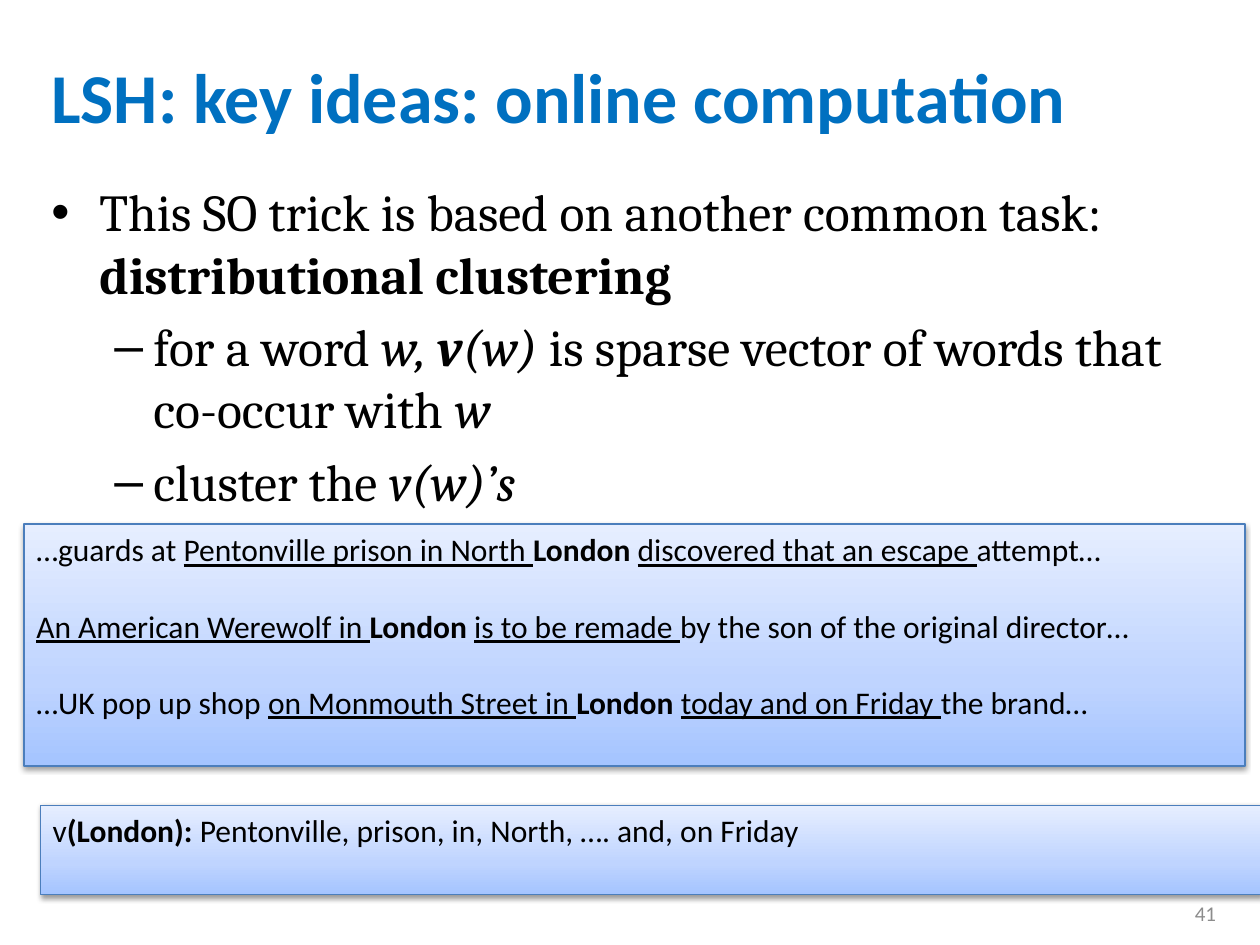
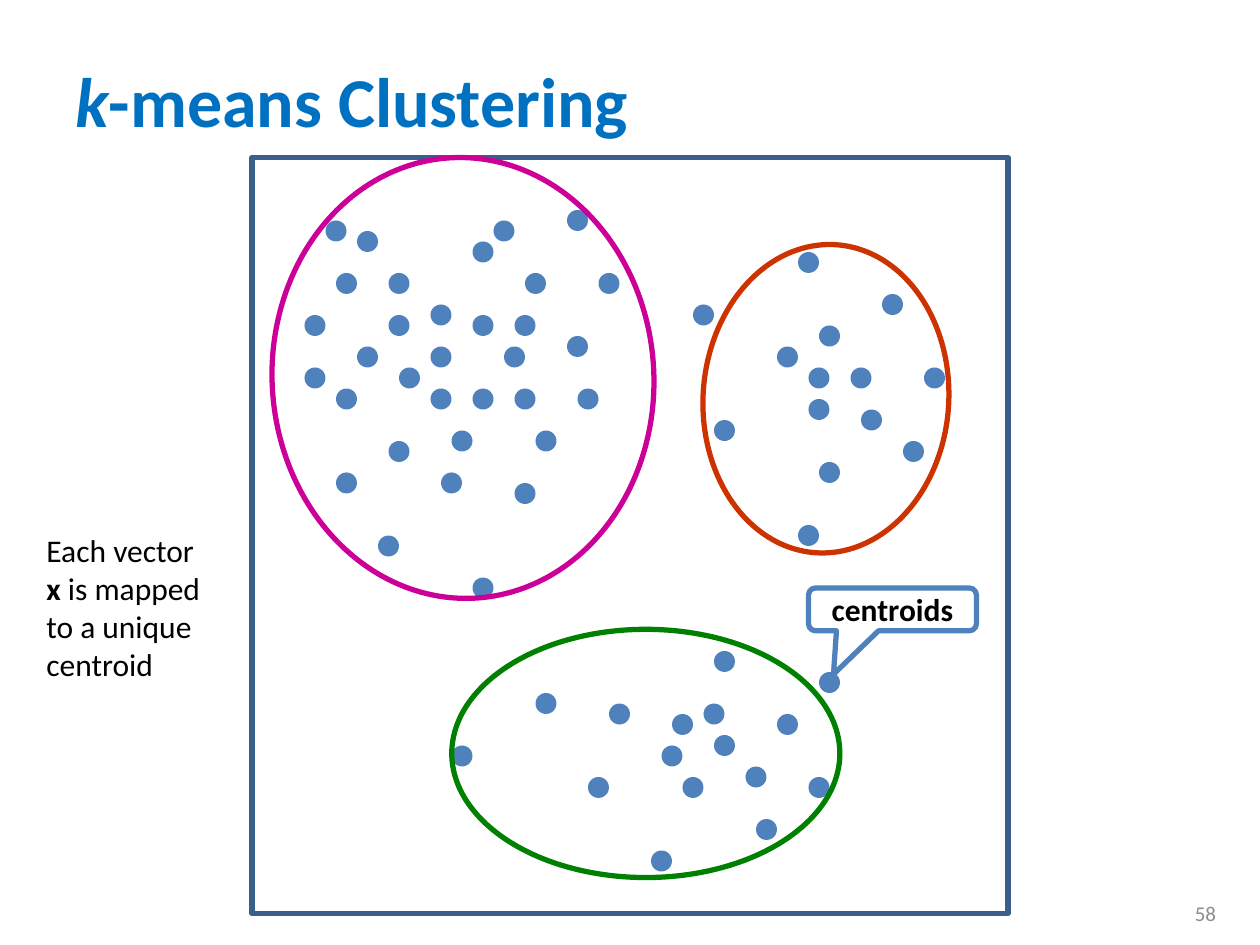
import lxml.etree
import pptx
import pptx.dml.color
import pptx.enum.shapes
import pptx.enum.text
import pptx.oxml.ns
import pptx.util

Pt = pptx.util.Pt
Shape = pptx.enum.shapes.MSO_SHAPE
Align = pptx.enum.text.PP_ALIGN
Anchor = pptx.enum.text.MSO_ANCHOR
qn = pptx.oxml.ns.qn

CELL = pptx.util.Inches(1) // 12
COLS, ROWS = 120, 90
DOT = 2
HUES = {
    "title": "0070C0", "ink": "000000", "page": "8C8C8C",
    "edge": "4B7EBC", "frame": "3A5F8C", "dot": "4F81BD",
    "left": "CC0099", "right": "CC3300", "low": "008000",
}
STOPS = [(0, "A4C4FF"), (35, "BFD4FF"), (100, "E6EEFF")]
LEVELS = [("•", 0.38, -0.38), ("–", 0.81, -0.31)]

BODY = [
    (0, [("This SO trick is based on another common task: ", ""),
         ("distributional clustering", "b")]),
    (1, [("for a word ", ""), ("w, ", "i"), ("v", "bi"), ("(w) ", "i"),
         ("is sparse vector of words that co-occur with ", ""), ("w", "i")]),
    (1, [("cluster the ", ""), ("v(w)’s", "i")]),
]
QUOTES = [
    [("…guards at ", ""), ("Pentonville prison in North ", "u"), ("London ", "b"),
     ("discovered that an escape ", "u"), ("attempt…", "")],
    [("An American Werewolf in ", "u"), ("London ", "b"),
     ("is to be remade ", "u"), ("by the son of the original director…", "")],
    [("…UK pop up shop ", ""), ("on Monmouth Street in ", "u"), ("London ", "b"),
     ("today and on Friday ", "u"), ("the brand…", "")],
]
VECTOR = [[("v", ""), ("(London): ", "b"),
           ("Pentonville, prison, in, North, …. and, on Friday", "")]]
NOTE = [[("Each vector ", ""), ("x ", "b"), ("is mapped to a unique centroid", "")]]

DOTS = [
    (7, 6), (21, 8), (10, 7), (23, 6), (30, 5), (5, 15), (17, 14), (21, 15),
    (13, 11), (26, 11), (33, 11), (8, 11), (24, 18), (17, 18), (13, 15),
    (25, 15), (30, 17), (5, 20), (21, 40), (14, 20), (10, 18), (25, 22),
    (31, 22), (8, 22), (21, 22), (17, 22), (27, 26), (8, 30), (19, 26),
    (18, 30), (13, 27), (25, 31), (12, 36),
    (58, 24), (50, 18), (53, 23), (52, 9), (54, 16), (44, 25), (64, 20),
    (52, 35), (60, 13), (53, 20), (54, 29), (57, 20), (62, 27), (42, 14),
    (19, 56), (39, 56), (27, 51), (53, 59), (34, 52), (44, 47), (43, 52),
    (38, 66), (44, 55), (48, 63), (32, 59), (41, 59), (47, 58), (50, 53),
    (40, 53), (54, 49),
]
RINGS = [
    ("left", (1.92, 0, 36.36, 42), 356.8),
    ("right", (42.96, 8.28, 23.4, 29.4), 3.7),
    ("low", (25.68, 38.28, 23.64, 36.96), 90),
]


def shade(name):
    return pptx.dml.color.RGBColor.from_string(HUES[name])


def scale(box):
    return [round(side * CELL) for side in box]


def inset(box, part):
    return (box[0] + part[0], box[1] + part[1], *part[2:])


def add_runs(para, runs, size, hue="ink", face="Calibri"):
    for text, marks in runs:
        run = para.add_run()
        run.text = text
        font = run.font
        font.name, font.size = face, Pt(size)
        font.bold, font.italic, font.underline = (m in marks for m in "biu")
        font.color.rgb = shade(hue)


def write(frame, lines, size, hue="ink", face="Calibri", align=Align.LEFT,
          anchor=Anchor.TOP, gap=0):
    frame.word_wrap = True
    frame.vertical_anchor = anchor
    for index, runs in enumerate(lines):
        para = frame.add_paragraph() if index else frame.paragraphs[0]
        para.alignment = align
        para.space_before = Pt(gap if index else 0)
        add_runs(para, runs, size, hue, face)


def add_text(slide, box, lines, size, **style):
    frame = slide.shapes.add_textbox(*scale(box)).text_frame
    write(frame, lines, size, **style)
    return frame


def add_shape(slide, kind, box, fill=None, line=None, width=3):
    shape = slide.shapes.add_shape(kind, *scale(box))
    shape.shadow.inherit = False
    if fill:
        shape.fill.solid()
        shape.fill.fore_color.rgb = shade(fill)
    else:
        shape.fill.background()
    if line:
        shape.line.color.rgb = shade(line)
        shape.line.width = Pt(width)
    else:
        shape.line.fill.background()
    return shape


def add_node(parent, tag, **attrs):
    return lxml.etree.SubElement(
        parent, qn(tag), {key: str(val) for key, val in attrs.items()})


def add_base(deck, title, box, page):
    slide = deck.slides.add_slide(deck.slide_layouts[6])
    add_text(slide, box, [title], 40, hue="title", anchor=Anchor.MIDDLE)
    add_text(slide, (89, 84.6, 28, 4.8), [[(page, "")]], 12, hue="page",
             align=Align.RIGHT, anchor=Anchor.MIDDLE)
    return slide


def add_list(slide, box, items, size):
    frame = add_text(slide, box, [runs for _, runs in items], size,
                     face="Cambria", gap=size / 5)
    for para, (level, _) in zip(frame.paragraphs, items):
        mark, left, hang = LEVELS[level]
        para.level = level
        props = para._p.get_or_add_pPr()
        props.set("marL", str(pptx.util.Inches(left)))
        props.set("indent", str(pptx.util.Inches(hang)))
        add_node(props, "a:buFont", typeface="Arial")
        add_node(props, "a:buChar", char=mark)


def add_panel(slide, box, lines):
    panel = add_shape(slide, Shape.RECTANGLE, box, line="edge", width=0.75)
    panel.fill.gradient()
    panel.fill.gradient_angle = 90
    stops = panel._element.spPr.find(qn("a:gradFill")).find(qn("a:gsLst"))
    for stop in list(stops):
        stops.remove(stop)
    for place, hue in STOPS:
        stop = add_node(stops, "a:gs", pos=place * 1000)
        add_node(stop, "a:srgbClr", val=hue)
    glow = add_node(panel._element.spPr.find(qn("a:effectLst")), "a:outerShdw",
                    blurRad=Pt(3.1), dist=Pt(1.6), dir=5400000, rotWithShape=0)
    tint = add_node(glow, "a:srgbClr", val=HUES["ink"])
    add_node(tint, "a:alpha", val=38000)
    write(panel.text_frame, lines, 18, gap=22)


def add_label(slide, box):
    label = add_shape(slide, Shape.ROUNDED_RECTANGULAR_CALLOUT, box, line="dot")
    for index, value in enumerate((-0.351, 1.514, 0.167)):
        label.adjustments[index] = value
    frame = label.text_frame
    frame.margin_left = frame.margin_right = 0
    frame.margin_top = frame.margin_bottom = 0
    write(frame, [[("centroids", "b")]], 18, align=Align.CENTER,
          anchor=Anchor.MIDDLE)


def add_plot(slide, box):
    add_shape(slide, Shape.RECTANGLE, box, line="frame")
    for col, row in DOTS:
        add_shape(slide, Shape.OVAL, inset(box, (col, row, DOT, DOT)), fill="dot")
    for hue, part, turn in RINGS:
        ring = add_shape(slide, Shape.OVAL, inset(box, part), line=hue)
        ring.rotation = turn
    add_label(slide, inset(box, (53, 41, 16, 4.08)))


def make_ideas(deck):
    title = [("LSH: key ideas: online computation", "b")]
    slide = add_base(deck, title, (3.72, 3.84, 113.52, 10.56), "41")
    add_list(slide, (3.72, 16.56, 113.52, 31.32), BODY, 29.6)
    add_panel(slide, (2.28, 49.92, 116.28, 23.04), QUOTES)
    add_panel(slide, (3.84, 76.68, 116.28, 8.52), VECTOR)


def make_means(deck):
    title = [("k", "bi"), ("-means Clustering", "b")]
    slide = add_base(deck, title, (6, 2, 108, 15), "58")
    add_plot(slide, (24, 15, 72, 72))
    add_text(slide, (3.24, 50, 17.64, 15.72), NOTE, 18)


def main():
    deck = pptx.Presentation()
    deck.slide_width, deck.slide_height = scale((COLS, ROWS))
    make_ideas(deck)
    make_means(deck)
    deck.save("out.pptx")


if __name__ == "__main__":
    main()
